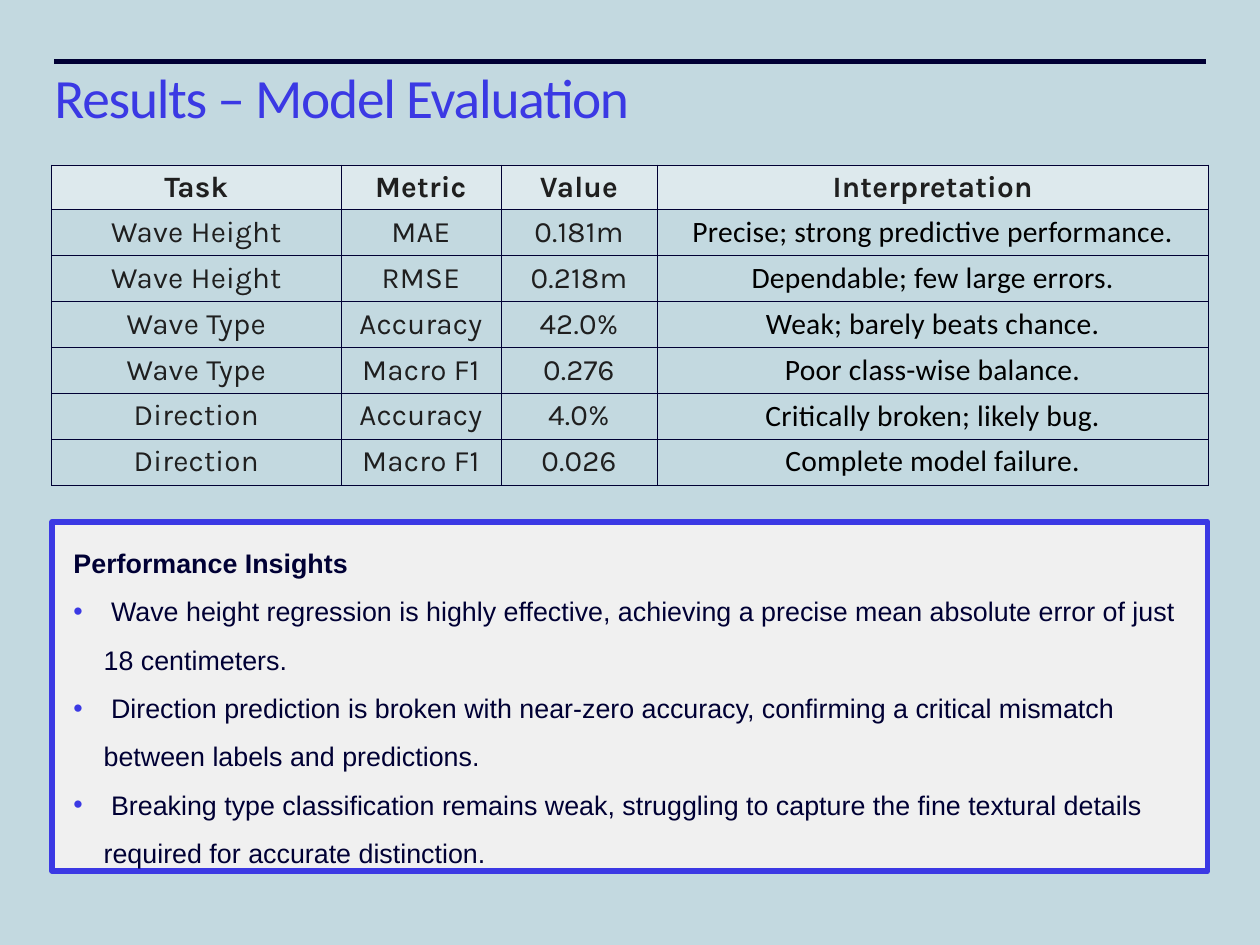
from lxml.etree import SubElement
from pptx import Presentation
from pptx.dml.color import RGBColor
from pptx.enum.shapes import MSO_CONNECTOR, MSO_SHAPE
from pptx.enum.text import MSO_ANCHOR, PP_ALIGN
from pptx.oxml import parse_xml
from pptx.oxml.ns import nsdecls, qn
from pptx.util import Pt

BACKGROUND = RGBColor(0xC3, 0xD9, 0xE0)
NAVY = RGBColor(0x00, 0x00, 0x34)
VIOLET = RGBColor(0x3B, 0x39, 0xE4)
PANEL_GREY = RGBColor(0xF0, 0xF0, 0xF0)
CHARCOAL = RGBColor(0x1F, 0x1F, 0x1F)
BLACK = RGBColor(0x00, 0x00, 0x00)
WHITE = RGBColor(0xFF, 0xFF, 0xFF)


def write(paragraph, text, *, font, size, color, bold=False, tracking=0,
          line_spacing=None, align=PP_ALIGN.LEFT, left=0, indent=0, bullet=None):
    """Put one formatted run into the paragraph; tracking, left and indent are points."""
    paragraph.alignment = align
    if line_spacing:
        paragraph.line_spacing = line_spacing
    properties = paragraph._p.get_or_add_pPr()
    properties.set("marL", str(Pt(left)))
    properties.set("indent", str(Pt(indent)))
    if bullet:
        bullet_color = SubElement(properties, qn("a:buClr"))
        SubElement(bullet_color, qn("a:srgbClr"), val=str(VIOLET))
        SubElement(properties, qn("a:buFont"), typeface="Arial")
        SubElement(properties, qn("a:buChar"), char=bullet)
    run = paragraph.add_run()
    run.text = text
    run.font.name = font
    run.font.size = Pt(size)
    run.font.bold = bold
    run.font.color.rgb = color
    if tracking:
        run._r.get_or_add_rPr().set("spc", str(round(tracking * 100)))


def add_text_frame(left, top, width, height, inset):
    frame = slide.shapes.add_textbox(Pt(left), Pt(top), Pt(width), Pt(height)).text_frame
    frame.word_wrap = True
    frame.margin_left = frame.margin_right = Pt(inset)
    frame.margin_top = frame.margin_bottom = Pt(inset)
    return frame


presentation = Presentation()
presentation.slide_width = Pt(1024)
presentation.slide_height = Pt(768)
slide = presentation.slides.add_slide(presentation.slide_layouts[6])
slide.background.fill.solid()
slide.background.fill.fore_color.rgb = BACKGROUND

# Title under its rule
rule = slide.shapes.add_connector(MSO_CONNECTOR.STRAIGHT, Pt(44), Pt(50), Pt(980), Pt(50))
rule.line.color.rgb = NAVY
rule.line.width = Pt(4)
SubElement(rule._element.spPr, qn("a:effectLst"))

title = add_text_frame(42, 59.5, 940, 119.5, 2.2)
write(title.paragraphs[0], "Results – Model Evaluation", font="Calibri", size=45,
      color=VIOLET, tracking=-1, line_spacing=0.8)

# Insights panel
panel = slide.shapes.add_shape(MSO_SHAPE.RECTANGLE, Pt(42.4), Pt(424), Pt(939), Pt(284))
panel.shadow.inherit = False
panel.fill.solid()
panel.fill.fore_color.rgb = PANEL_GREY
panel.line.color.rgb = VIOLET
panel.line.width = Pt(4.5)
SubElement(panel._element.spPr.find(qn("a:ln")), qn("a:round"))

INSIGHTS = [
    " Wave height regression is highly effective, achieving a precise mean absolute error "
    "of just 18 centimeters.",
    " Direction prediction is broken with near-zero accuracy, confirming a critical mismatch "
    "between labels and predictions.",
    " Breaking type classification remains weak, struggling to capture the fine textural "
    "details required for accurate distinction.",
]
insight_format = dict(font="Arial", size=21.8, color=NAVY, line_spacing=1.5)
insights = add_text_frame(44.6, 427, 934.6, 279.4, 4.3)
write(insights.paragraphs[0], "Performance Insights", bold=True, indent=10.8, **insight_format)
for insight in INSIGHTS:
    write(insights.add_paragraph(), insight, left=35.3, indent=-24.5, bullet="•",
          **insight_format)

# Evaluation table
EVALUATION = [
    ("Task", "Metric", "Value", "Interpretation"),
    ("Wave Height", "MAE", "0.181m", "Precise; strong predictive performance."),
    ("Wave Height", "RMSE", "0.218m", "Dependable; few large errors."),
    ("Wave Type", "Accuracy", "42.0%", "Weak; barely beats chance."),
    ("Wave Type", "Macro F1", "0.276", "Poor class-wise balance."),
    ("Direction", "Accuracy", "4.0%", "Critically broken; likely bug."),
    ("Direction", "Macro F1", "0.026", "Complete model failure."),
]
COLUMN_WIDTHS = [235, 130, 127, 448]
HEADER_HEIGHT, ROW_HEIGHT = 35.5, 37.3
table_height = HEADER_HEIGHT + ROW_HEIGHT * (len(EVALUATION) - 1)
table = slide.shapes.add_table(len(EVALUATION), len(COLUMN_WIDTHS), Pt(42), Pt(134),
                               Pt(sum(COLUMN_WIDTHS)), Pt(table_height)).table
table.horz_banding = False
for column, width in zip(table.columns, COLUMN_WIDTHS):
    column.width = Pt(width)

for row_index, values in enumerate(EVALUATION):
    is_header = row_index == 0
    table.rows[row_index].height = Pt(HEADER_HEIGHT if is_header else ROW_HEIGHT)
    for column_index, value in enumerate(values):
        cell = table.cell(row_index, column_index)
        cell.vertical_anchor = MSO_ANCHOR.MIDDLE
        cell.margin_left = cell.margin_right = cell.margin_top = cell.margin_bottom = Pt(3.8)
        is_interpretation = not is_header and column_index == 3
        write(cell.text_frame.paragraphs[0], value, size=24, bold=is_header, tracking=0.2,
              font="Calibri" if is_interpretation else "Karla",
              color=BLACK if is_interpretation else CHARCOAL, align=PP_ALIGN.CENTER)
        cell_properties = cell._tc.get_or_add_tcPr()
        if is_header:
            cell.fill.solid()
            cell.fill.fore_color.rgb = WHITE
            SubElement(cell_properties.find(".//" + qn("a:srgbClr")), qn("a:alpha"), val="44000")
        else:
            cell.fill.background()
        for position, side in enumerate(("lnL", "lnR", "lnT", "lnB")):
            border = parse_xml(
                f'<a:{side} {nsdecls("a")} w="{Pt(0.5)}"><a:solidFill>'
                f'<a:srgbClr val="{NAVY}"/></a:solidFill></a:{side}>')
            cell_properties.insert(position, border)

presentation.save("out.pptx")
